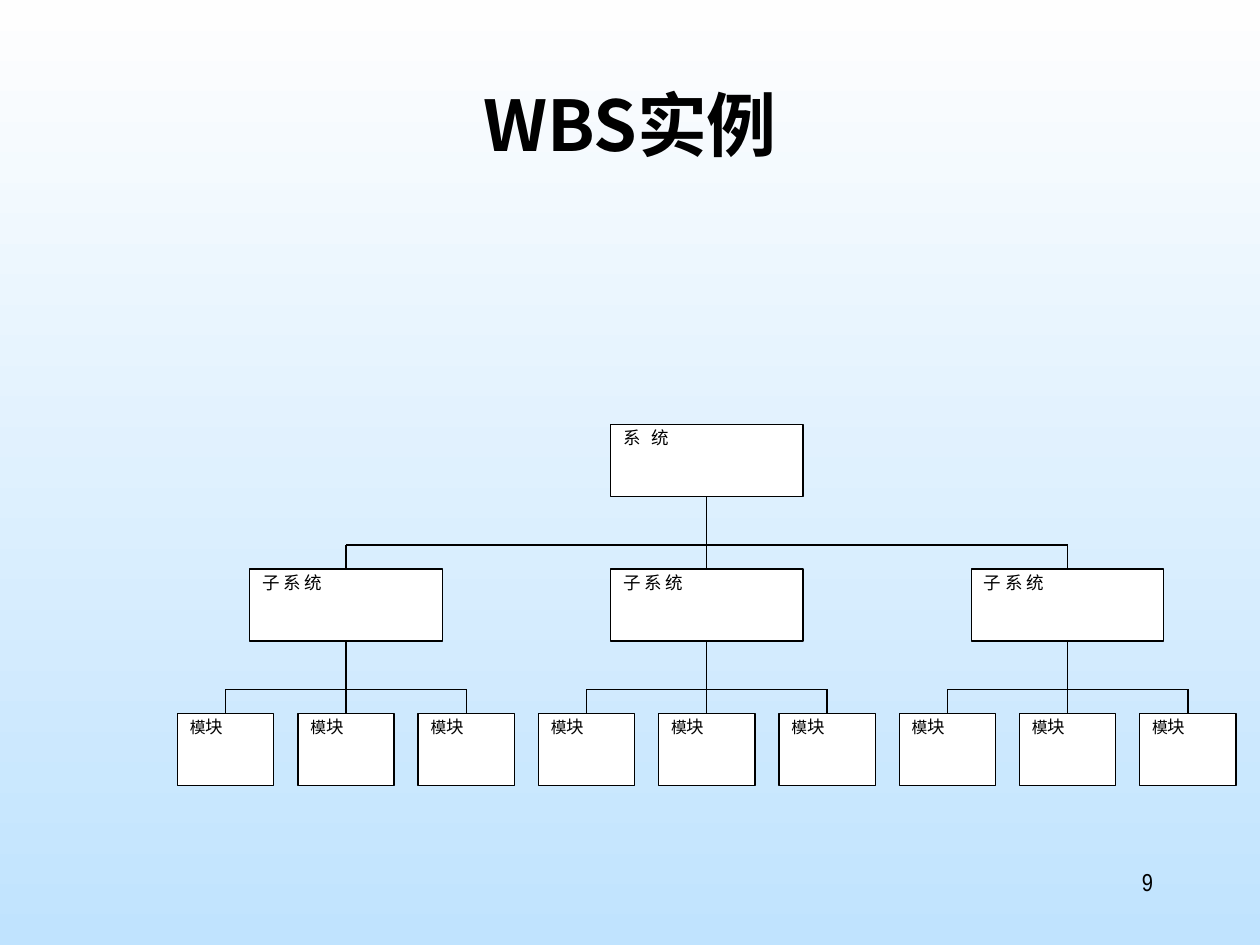
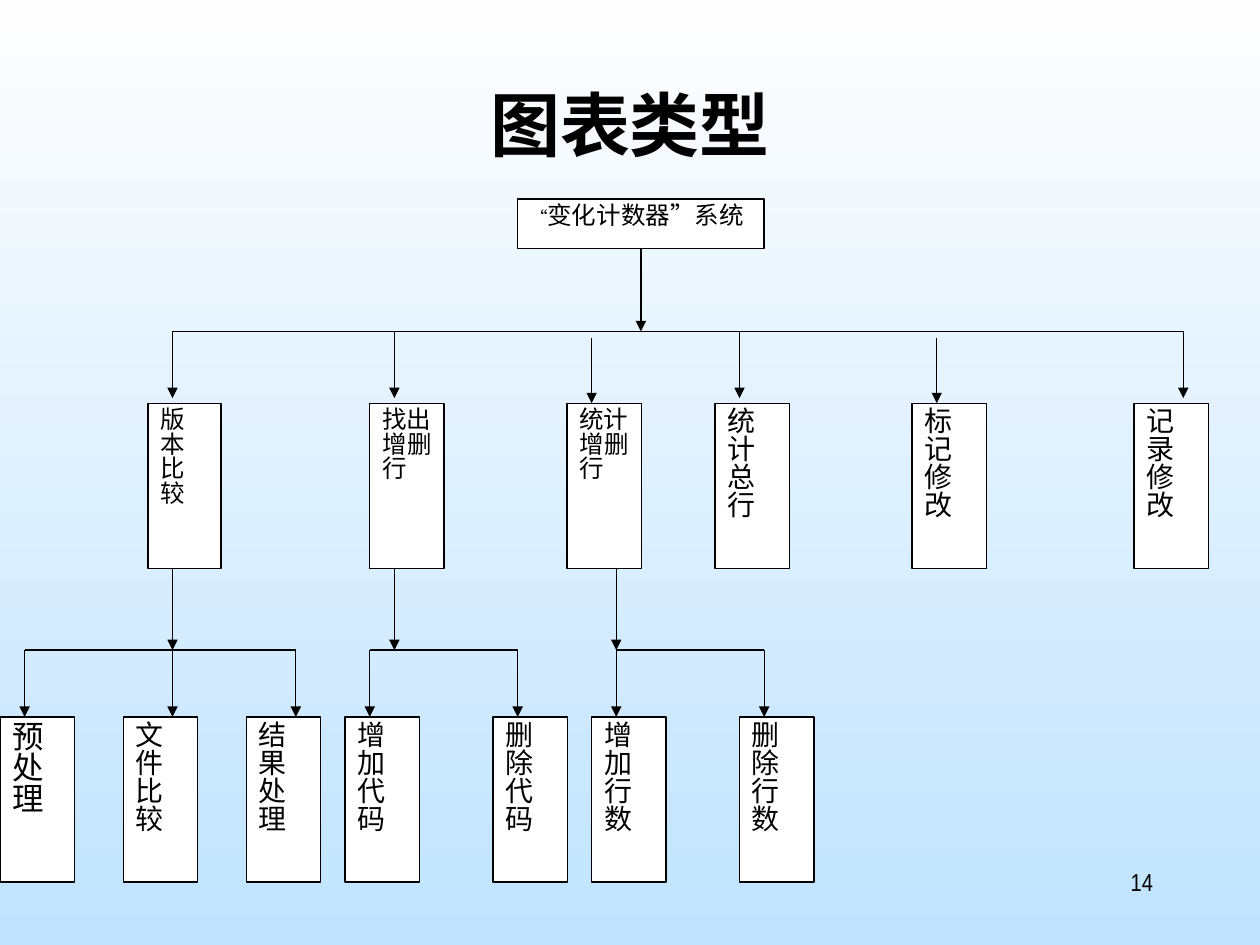
from dataclasses import dataclass
from typing import Any, Optional

from lxml.etree import SubElement
from pptx import Presentation
from pptx.dml.color import RGBColor
from pptx.enum.shapes import MSO_CONNECTOR as Connector, MSO_SHAPE as Preset
from pptx.enum.text import MSO_ANCHOR as Anchor, MSO_AUTO_SIZE as AutoSize, PP_ALIGN as Align
from pptx.oxml.ns import qn
from pptx.shapes.autoshape import Shape
from pptx.slide import Slide
from pptx.util import Inches, Pt

BOTTOM, TOP = 2, 0


@dataclass(frozen=True)
class Theme:
    ink: RGBColor = RGBColor(0, 0, 0)
    paper: RGBColor = RGBColor(255, 255, 255)
    sky_top: RGBColor = RGBColor(0xFE, 0xFE, 0xFE)
    sky_bottom: RGBColor = RGBColor(0xC0, 0xE3, 0xFE)
    title_font: str = "Noto Sans CJK SC"
    body_font: str = "Times New Roman"
    number_font: str = "Arial Narrow"
    east_asian_font: str = "Noto Sans CJK SC"
    title_size: int = 40
    number_size: int = 14
    label_size: int = 10
    small_size: int = 9
    step_size: int = 14
    part_size: int = 16
    large_size: int = 18
    line_width: float = 0.75
    title_spacing: float = 0.9
    body_spacing: float = 0.83


THEME = Theme()


@dataclass(frozen=True)
class TextPart:
    text: str
    size: int
    spacing: int = 0


@dataclass(frozen=True)
class Box:
    left: float
    top: float
    width: float
    height: float
    paragraphs: tuple[tuple[TextPart, ...], ...]


@dataclass(frozen=True)
class Line:
    x1: float
    y1: float
    x2: float
    y2: float
    arrow: bool = False
    start: Optional[Shape] = None
    end: Optional[Shape] = None


@dataclass(frozen=True)
class Step:
    column: int
    text: str
    size: int = THEME.part_size
    width: float = 0.59


@dataclass(frozen=True)
class Branch:
    stem: int
    columns: tuple[int, ...]


def apply(target: Any, values: dict[str, Any]) -> None:
    for name, value in values.items():
        setattr(target, name, value)


def place(shape: Any, left: float, top: float, width: float, height: float) -> None:
    apply(shape, {"left": Inches(left), "top": Inches(top),
                  "width": Inches(width), "height": Inches(height)})


def add_run(paragraph: Any, part: TextPart, font_name: str, bold: bool = False) -> None:
    run = paragraph.add_run()
    run.text = part.text
    run.font.color.rgb = THEME.ink
    apply(run.font, {"name": font_name, "size": Pt(part.size), "bold": bold})
    properties = run.font._element
    SubElement(properties, qn("a:ea"), typeface=THEME.east_asian_font)
    if part.spacing:
        properties.set("spc", str(part.spacing))


def frame_text(shape: Any) -> Any:
    frame = shape.text_frame
    apply(frame, {"word_wrap": True, "auto_size": AutoSize.NONE, "vertical_anchor": Anchor.TOP,
                  "margin_left": Inches(0.1), "margin_right": Inches(0.1),
                  "margin_top": Inches(0.05), "margin_bottom": Inches(0.05)})
    return frame


def add_slide(presentation: Any, title: str, number: str) -> Slide:
    slide = presentation.slides.add_slide(presentation.slide_layouts[5])
    heading = slide.shapes.title
    place(heading, 0.75, 0.67, 8.5, 1.25)
    paragraph = frame_text(heading).paragraphs[0]
    apply(paragraph, {"alignment": Align.CENTER, "line_spacing": THEME.title_spacing})
    add_run(paragraph, TextPart(title, THEME.title_size), THEME.title_font, True)

    number_box = slide.shapes.add_textbox(Inches(7.17), Inches(6.83), Inches(2.08), Inches(0.5))
    paragraph = frame_text(number_box).paragraphs[0]
    paragraph.alignment = Align.RIGHT
    add_run(paragraph, TextPart(number, THEME.number_size), THEME.number_font)
    return slide


def add_box(slide: Slide, box: Box) -> Shape:
    shape = slide.shapes.add_shape(Preset.RECTANGLE, Inches(box.left), Inches(box.top),
                                   Inches(box.width), Inches(box.height))
    shape.shadow.inherit = False
    shape.fill.solid()
    shape.fill.fore_color.rgb = THEME.paper
    shape.line.color.rgb = THEME.ink
    shape.line.width = Pt(THEME.line_width)
    frame = frame_text(shape)
    for index, parts in enumerate(box.paragraphs):
        paragraph = frame.add_paragraph() if index else frame.paragraphs[0]
        apply(paragraph, {"alignment": Align.JUSTIFY, "line_spacing": THEME.body_spacing})
        for part in parts:
            add_run(paragraph, part, THEME.body_font)
    return shape


def add_line(slide: Slide, line: Line) -> None:
    connector = slide.shapes.add_connector(Connector.STRAIGHT, Inches(line.x1), Inches(line.y1),
                                           Inches(line.x2), Inches(line.y2))
    connector.line.color.rgb = THEME.ink
    connector.line.width = Pt(THEME.line_width)
    properties = connector._element.spPr
    if line.arrow:
        SubElement(properties.find(qn("a:ln")), qn("a:tailEnd"), type="triangle")
    SubElement(properties, qn("a:effectLst"))
    if line.start is not None:
        connector.begin_connect(line.start, BOTTOM)
    if line.end is not None:
        connector.end_connect(line.end, TOP)


def middle(shape: Shape) -> float:
    return (shape.left + shape.width / 2) / Inches(1)


def join_children(slide: Slide, parent: Shape, children: list[Shape], unit: float) -> None:
    child_top = children[0].top / Inches(1)
    bus = child_top - unit
    first, center, last = children
    add_line(slide, Line(middle(first), bus, middle(last), bus))
    add_line(slide, Line(middle(parent), bus, middle(center), child_top, start=parent, end=center))
    for child in (first, last):
        add_line(slide, Line(middle(child), bus, middle(child), child_top, end=child))


def build_breakdown(presentation: Any) -> None:
    slide = add_slide(presentation, "WBS 实例".replace(" ", ""), "9")
    unit = 8.4 / 44
    left, top = 1.41, 3.37
    system_text = ((TextPart("系 统", THEME.label_size, 200),),)
    subsystem_text = ((TextPart("子 系 统", THEME.label_size),),)
    module_text = ((TextPart("模", THEME.small_size), TextPart("块", THEME.label_size)),)

    def node(column: int, row: int, columns: int, text: tuple[tuple[TextPart, ...], ...]) -> Shape:
        return add_box(slide, Box(left + column * unit, top + row * unit,
                                  columns * unit, 3 * unit, text))

    system = node(18, 0, 8, system_text)
    subsystems = [node(3 + 15 * index, 6, 8, subsystem_text) for index in range(3)]
    modules = [node(5 * index, 12, 4, module_text) for index in range(9)]
    join_children(slide, system, subsystems, unit)
    for index, subsystem in enumerate(subsystems):
        join_children(slide, subsystem, modules[3 * index:3 * index + 3], unit)


def build_chart_types(presentation: Any) -> None:
    slide = add_slide(presentation, "图表类型", "14")
    unit = 9 / 46
    step_top, part_top, box_height = 3.2, 5.69, 1.31
    step_bus, part_bus = 2.63, 5.16
    step_size = THEME.step_size
    steps = (Step(6, "版本\n比较", step_size, 0.58), Step(15, "找出\n增删行", step_size),
             Step(23, "统计\n增删行", step_size), Step(29, "统计总行"),
             Step(37, "标记修改"), Step(46, "记录\n修改"))
    parts = (Step(0, "预处理", THEME.large_size), Step(5, "文件比较"), Step(10, "结果处理"),
             Step(14, "增加\n代码"), Step(20, "删除代码"),
             Step(24, "增加\n行数"), Step(30, "删除\n行数"))
    branches = (Branch(7, (1, 7, 12)), Branch(16, (15, 21)), Branch(25, (25, 31)))

    title_text = ((TextPart("“", THEME.label_size), TextPart("变化计数器”系统", step_size)),)
    system = add_box(slide, Box(21 * unit, 1.58, 10 * unit, 0.39, title_text))
    for row_top, row in ((step_top, steps), (part_top, parts)):
        for step in row:
            text = tuple((TextPart(words, step.size),) for words in step.text.split("\n"))
            add_box(slide, Box(step.column * unit, row_top, step.width, box_height, text))

    def drop(column: int, start: float, end: float) -> None:
        add_line(slide, Line(column * unit, start, column * unit, end, arrow=True))

    add_line(slide, Line(7 * unit, step_bus, 48 * unit, step_bus))
    add_line(slide, Line(26 * unit, 1.97, 26 * unit, step_bus, arrow=True, start=system))
    for column in (7, 16, 30, 48):
        drop(column, step_bus, 3.16)
    for column in (24, 38):
        drop(column, 2.68, step_top)
    for branch in branches:
        drop(branch.stem, step_top + box_height, part_bus)
        add_line(slide, Line(branch.columns[0] * unit, part_bus,
                             branch.columns[-1] * unit, part_bus))
        for column in branch.columns:
            drop(column, part_bus, part_top)


def main() -> None:
    presentation = Presentation()
    apply(presentation, {"slide_width": Inches(10), "slide_height": Inches(7.5)})
    fill = presentation.slide_master.background.fill
    fill.gradient()
    fill.gradient_angle = 270
    for stop, color in zip(fill.gradient_stops, (THEME.sky_top, THEME.sky_bottom)):
        stop.color.rgb = color
    build_breakdown(presentation)
    build_chart_types(presentation)
    presentation.save("out.pptx")


if __name__ == "__main__":
    main()
